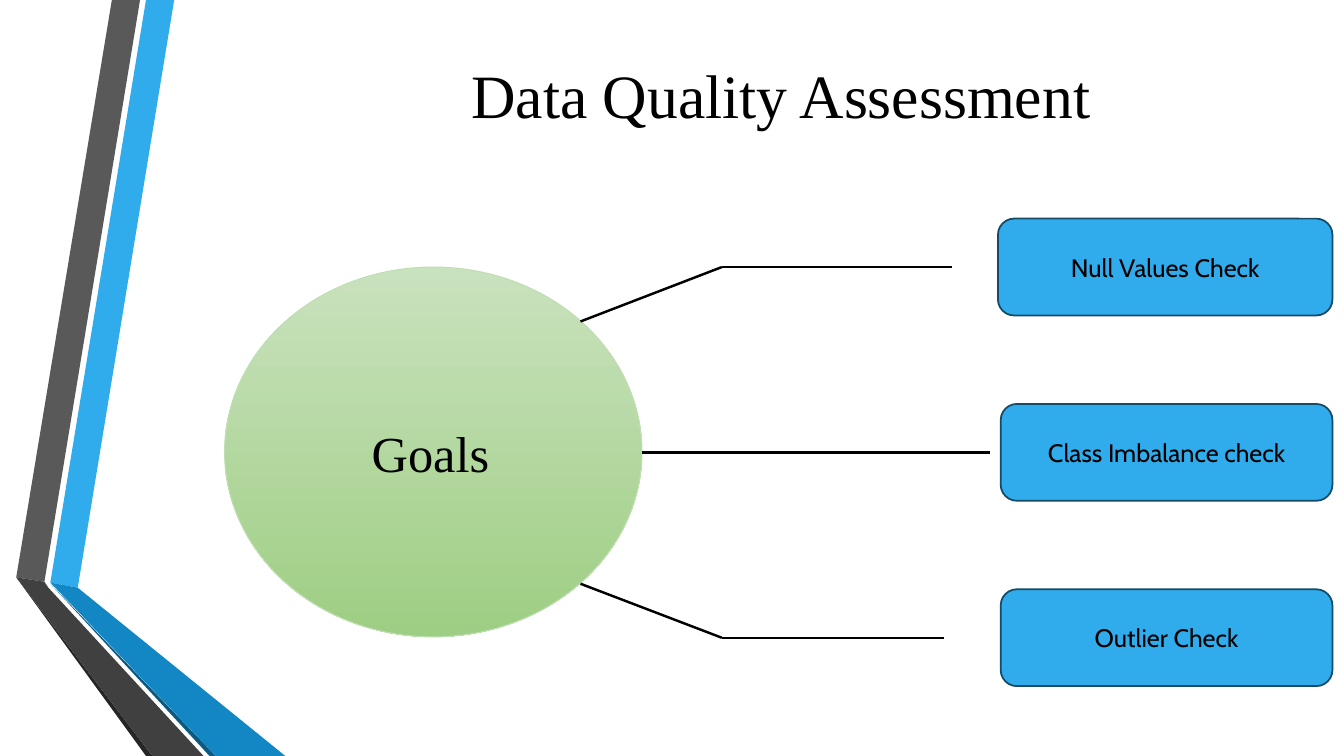
from lxml import etree
from pptx import Presentation
from pptx import util as u
from pptx.dml.color import RGBColor
from pptx.enum import shapes, text
from pptx.oxml.ns import qn

BLACK = RGBColor(0x00, 0x00, 0x00)
SKY = RGBColor(0x30, 0xAC, 0xEC)
DEEP_BLUE = RGBColor(0x12, 0x87, 0xC3)
NAVY = RGBColor(0x0C, 0x5A, 0x82)
BOX_EDGE = RGBColor(0x15, 0x4B, 0x67)
GRAY = RGBColor(0x59, 0x59, 0x59)
CHARCOAL = RGBColor(0x40, 0x40, 0x40)
DARK = RGBColor(0x26, 0x26, 0x26)
GREEN_TOP = RGBColor(0xC9, 0xE2, 0xBE)
GREEN_BOTTOM = RGBColor(0x9E, 0xCE, 0x83)
GREEN_EDGE = RGBColor(0xC0, 0xDE, 0xB3)

SERIF, SANS = "Times New Roman", "Cabin"
BOTTOM = 19.05

# Ribbon facets from back to front, corners in centimetres
RIBBONS = [
    (SKY, [(1.27, 14.68), (1.96, 14.81), (4.39, 0), (3.68, 0)]),
    (GRAY, [(3.53, 0), (2.82, 0), (0.41, 14.55), (1.12, 14.66)]),
    (DARK, [(0.41, 14.55), (3.68, BOTTOM), (3.84, BOTTOM)]),
    (NAVY, [(1.27, 14.71), (5.28, BOTTOM), (5.44, BOTTOM)]),
    (DEEP_BLUE, [(1.27, 14.68), (5.44, BOTTOM), (7.19, BOTTOM), (1.96, 14.81)]),
    (CHARCOAL, [(5.13, BOTTOM), (1.22, 14.81), (1.12, 14.66), (0.41, 14.55),
                (3.84, BOTTOM)]),
]

# Each check: label, left edge of its box, points of its branch
FIRST_ROW, ROW_STEP = 6.73, 4.67
ROWS = [FIRST_ROW + ROW_STEP * index for index in range(3)]
BOX_RIGHT, BOX_HEIGHT = 33.58, 2.44
CHECKS = [
    ("Null Values Check", 25.15, [(14.63, 8.1), (18.19, ROWS[0]), (24, ROWS[0])]),
    ("Class Imbalance check", 25.22, [(16.18, ROWS[1]), (24.94, ROWS[1])]),
    ("Outlier Check", 25.22, [(14.63, 14.71), (18.19, ROWS[2]), (23.8, ROWS[2])]),
]


def cm_all(*lengths):
    return [u.Cm(length) for length in lengths]


def add_ribbon(slide, color, corners):
    points = [cm_all(*corner) for corner in corners]
    builder = slide.shapes.build_freeform(*points[0])
    builder.add_line_segments(points[1:], close=True)
    shape = builder.convert_to_shape()
    shape.shadow.inherit = False
    shape.fill.solid()
    shape.fill.fore_color.rgb = color
    shape.line.fill.background()


def write_text(shape, wording, font_name, size):
    frame = shape.text_frame
    frame.word_wrap = True
    frame.text = wording
    paragraph = frame.paragraphs[0]
    paragraph.alignment = text.PP_ALIGN.CENTER
    font = paragraph.runs[0].font
    font.name, font.size, font.color.rgb = font_name, u.Pt(size), BLACK
    return paragraph


def add_outlined(slide, kind, box, edge, edge_width):
    shape = slide.shapes.add_shape(kind, *cm_all(*box))
    shape.shadow.inherit = False
    shape.line.color.rgb = edge
    shape.line.width = u.Pt(edge_width)
    shape.text_frame.vertical_anchor = text.MSO_ANCHOR.MIDDLE
    return shape


def add_title(slide, wording):
    box = slide.shapes.add_textbox(*cm_all(10.08, 1.09, 19.61, 2.9))
    box.text_frame.margin_top = u.Cm(0.34)
    write_text(box, wording, SERIF, 44)


def add_goal(slide, wording):
    oval = add_outlined(slide, shapes.MSO_SHAPE.OVAL,
                        (5.66, 6.73, 10.52, 9.32), GREEN_EDGE, 0.75)
    oval.fill.gradient()
    oval.fill.gradient_angle = 270
    for stop, color in zip(oval.fill.gradient_stops, (GREEN_TOP, GREEN_BOTTOM)):
        stop.color.rgb = color
    paragraph = write_text(oval, wording, SERIF, 36)
    space = paragraph.add_run()
    space.text = " "
    space.font.name, space.font.size = SANS, u.Pt(18)


def add_branch(slide, points):
    for start, end in zip(points, points[1:]):
        line = slide.shapes.add_connector(shapes.MSO_CONNECTOR.STRAIGHT,
                                          *cm_all(*start, *end))
        line.line.color.rgb = BLACK
        line.line.width = u.Pt(1.75)
        etree.SubElement(line._element.spPr, qn("a:effectLst"))


def add_check(slide, label, left, middle):
    box = add_outlined(slide, shapes.MSO_SHAPE.ROUNDED_RECTANGLE,
                       (left, middle - BOX_HEIGHT / 2, BOX_RIGHT - left, BOX_HEIGHT),
                       BOX_EDGE, 1.25)
    box.fill.solid()
    box.fill.fore_color.rgb = SKY
    write_text(box, label, SANS, 18)


def main():
    presentation = Presentation()
    presentation.slide_width = u.Cm(33.87)
    presentation.slide_height = u.Cm(BOTTOM)
    slide = presentation.slides.add_slide(presentation.slide_layouts[6])

    # Folded ribbons on the left
    for color, corners in RIBBONS:
        add_ribbon(slide, color, corners)

    # Title and central goal
    add_goal(slide, "Goals")
    add_title(slide, "Data Quality Assessment ")

    # Branches and their checks
    for (label, left, points), middle in zip(CHECKS, ROWS):
        add_branch(slide, points)
        add_check(slide, label, left, middle)

    presentation.save("out.pptx")


if __name__ == "__main__":
    main()
